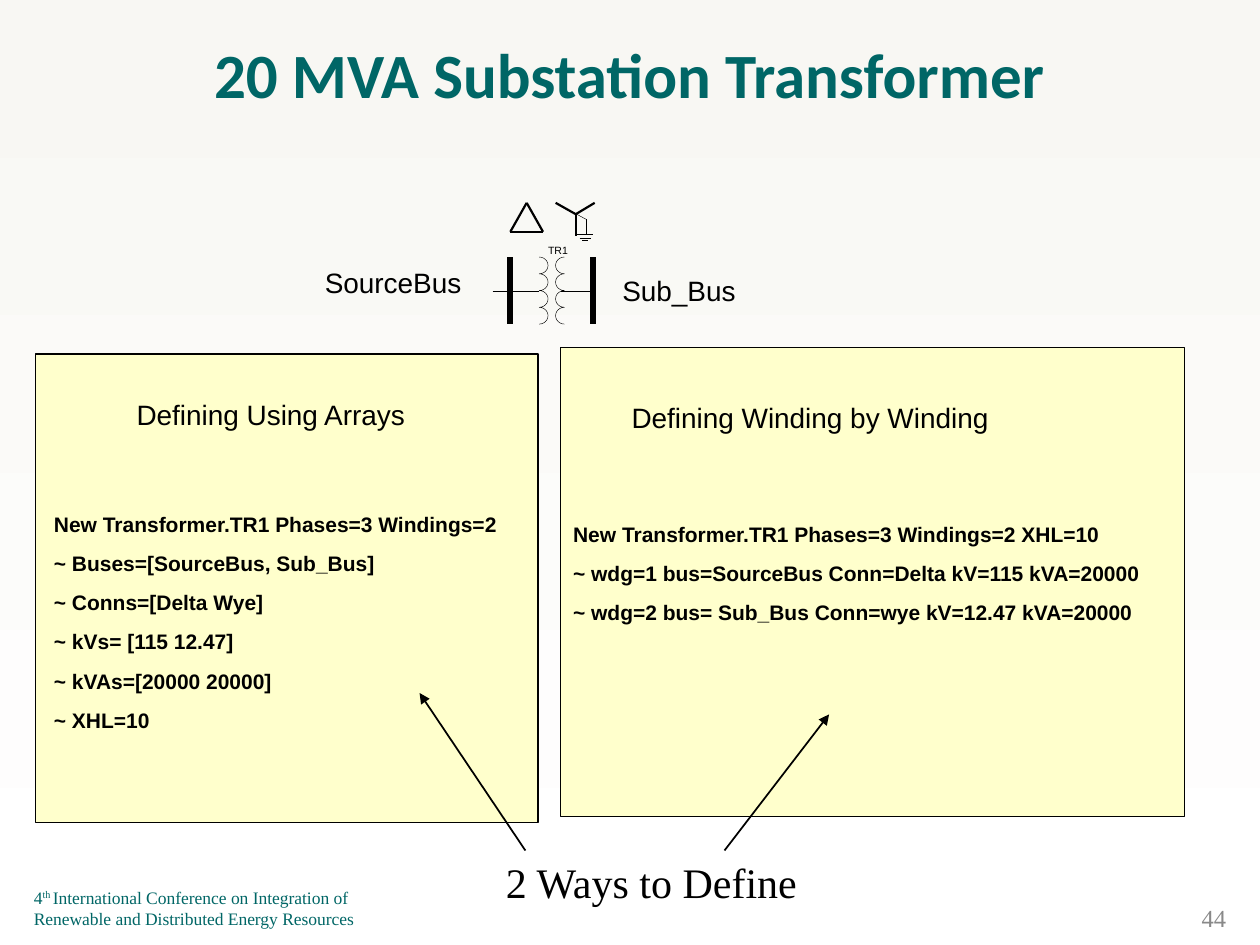
from math import cos, pi, sin

from lxml import etree
from pptx import Presentation
from pptx.dml.color import RGBColor
from pptx.enum.shapes import MSO_CONNECTOR, MSO_SHAPE
from pptx.enum.text import MSO_ANCHOR, PP_ALIGN
from pptx.oxml.ns import qn
from pptx.util import Inches, Pt

LEFT, MID, RIGHT = PP_ALIGN.LEFT, PP_ALIGN.CENTER, PP_ALIGN.RIGHT
TOP, CENTRE, BASE = MSO_ANCHOR.TOP, MSO_ANCHOR.MIDDLE, MSO_ANCHOR.BOTTOM
RECT, LINE = MSO_SHAPE.RECTANGLE, MSO_CONNECTOR.STRAIGHT
COLS, ROWS = 100, 75
WIDE, HIGH = Inches(10), Inches(7.5)
BLACK, TEAL, GREY, CREAM = "000000", "006666", "898989", "FFFFCC"
SERIF = "Times New Roman"
THIN, BOLD, BAR = 0.25, 1.25, 3.37

ARRAYS = [
    "New Transformer.TR1 Phases=3 Windings=2",
    "~ Buses=[SourceBus, Sub_Bus]",
    "~ Conns=[Delta Wye]",
    "~ kVs= [115 12.47]",
    "~ kVAs=[20000 20000]",
    "~ XHL=10",
]
WINDINGS = [
    "New Transformer.TR1 Phases=3 Windings=2 XHL=10",
    "~ wdg=1 bus=SourceBus Conn=Delta kV=115 kVA=20000",
    "~ wdg=2 bus= Sub_Bus Conn=wye kV=12.47 kVA=20000",
]


def grid(*nums):
    """Turn alternating column and row counts into slide lengths."""
    units = WIDE / COLS, HIGH / ROWS
    return [round(num * units[i % 2]) for i, num in enumerate(nums)]


def paint(target, code):
    """Give a font, line or gradient stop a hex colour."""
    target.color.rgb = RGBColor.from_string(code)


def panel(slide, *area):
    """Draw a framed cream panel."""
    shape = slide.shapes.add_shape(RECT, *grid(*area))
    shape.shadow.inherit = False
    shape.fill.solid()
    shape.fill.fore_color.rgb = RGBColor.from_string(CREAM)
    paint(shape.line, BLACK)
    shape.line.width = Pt(0.75)


def text(slide, area, lines, size, face="Arial", code=BLACK, align=LEFT,
         anchor=TOP, bold=False, gap=0, tight=False):
    """Write lines in a box, each line a string or a list of runs."""
    frame = slide.shapes.add_textbox(*grid(*area)).text_frame
    frame.word_wrap = not tight
    frame.vertical_anchor = anchor
    if tight:
        frame.margin_left = frame.margin_right = 0
        frame.margin_top = frame.margin_bottom = 0
    for i, line in enumerate(lines):
        para = frame.add_paragraph() if i else frame.paragraphs[0]
        for part in [line] if isinstance(line, str) else line:
            para.add_run().text = part
        para.alignment = align
        para.space_before = Pt(gap if i else 0)
        para.font.size, para.font.name, para.font.bold = Pt(size), face, bold
        paint(para.font, code)
    return frame


def wire(slide, ends, width, arrow=False):
    """Draw a straight line, with an arrowhead at its end if asked."""
    line = slide.shapes.add_connector(LINE, *grid(*ends))
    paint(line.line, BLACK)
    line.line.width = Pt(width)
    if arrow:
        tip = etree.SubElement(line.line._get_or_add_ln(), qn("a:tailEnd"))
        tip.set("type", "triangle")
    etree.SubElement(line._element.spPr, qn("a:effectLst"))


def coil(slide, left, bulge, loops=4, top=20.4, size=1.33, steps=12):
    """Draw a winding as a column of half loops."""
    spots = []
    for i in range(loops * steps + 1):
        loop, step = divmod(i, steps)
        turn = pi * step / steps
        down = top + size * (loop + (1 - cos(turn)) / 2)
        spots.append(grid(left + bulge * sin(turn), down))
    path = slide.shapes.build_freeform(*spots[0])
    path.add_line_segments(spots[1:], close=False)
    shape = path.convert_to_shape()
    shape.shadow.inherit = False
    shape.fill.background()
    paint(shape.line, BLACK)
    shape.line.width = Pt(THIN)


def symbol(slide):
    """Draw the transformer with its delta and earthed wye marks."""
    leads = [(39.1, 23.1, 40.5, 23.1), (47.1, 23.1, 44.5, 23.1),
             (42.8, 23.1, 40.5, 23.1)]
    earth = [(46.2, 19.1, 46.7, 19.1), (46, 18.9, 46.9, 18.9),
             (45.8, 18.6, 47.1, 18.6), (46.5, 17.4, 46.5, 18.6),
             (46.5, 17.4, 45.4, 16.8)]
    delta = [(40.5, 18.4, 43.1, 18.4), (40.5, 18.4, 41.8, 16.1),
             (43.1, 18.4, 41.8, 16.1)]
    wye = [(45.7, 17, *end) for end in ((45.7, 18.7), (47.2, 16.1), (44.1, 16.1))]
    bars = [(x, 20.4, x, 25.7) for x in (40.5, 47.1)]
    for group, width in ((leads + earth, THIN), (delta + wye, BOLD), (bars, BAR)):
        for ends in group:
            wire(slide, ends, width)
    coil(slide, 42.8, 0.7)
    coil(slide, 44.8, -0.7)
    for area, word in (((41.1, 19.4, 5.9, 1), "TR"), ((42.2, 19.4, 5.3, 1), "1")):
        text(slide, area, [word], 6, align=MID, tight=True)


def main():
    """Build the slide and save it."""
    deck = Presentation()
    deck.slide_width, deck.slide_height = WIDE, HIGH
    slide = deck.slides.add_slide(deck.slide_layouts[6])
    fill = slide.background.fill
    fill.gradient()
    fill.gradient_angle = 270
    for stop, code in zip(fill.gradient_stops, ("F8F7F3", "FFFFFF")):
        paint(stop, code)

    foot = text(slide, (1.7, 70, 31.7, 4.2),
                [["4", "th ", "International Conference on Integration of"],
                 "Renewable and Distributed Energy Resources"],
                10, SERIF, TEAL, anchor=BASE)
    foot.paragraphs[0].runs[1].font._element.set("baseline", "30000")
    panel(slide, 44.5, 27.6, 49.5, 37.2)
    panel(slide, 2.8, 28.1, 39.9, 37.2)
    symbol(slide)
    text(slide, (3.3, 1.7, 93.3, 8.3), ["20 MVA Substation Transformer"],
         36, "Calibri", TEAL, MID, CENTRE, True)
    text(slide, (3.3, 40.1, 45.3, 21.3), ARRAYS, 12, bold=True, gap=8)
    text(slide, (44.5, 40.9, 51.9, 12.2), WINDINGS, 12, bold=True, gap=8)
    for area, label, align in (
        ((4.7, 31.1, 33.6, 3.7), "Defining Using Arrays", MID),
        ((47.5, 31.3, 33.6, 3.7), "Defining Winding by Winding", MID),
        ((48.4, 21.2, 19.1, 3.7), "Sub_Bus", LEFT),
        ((18.5, 20.6, 19.1, 3.7), "SourceBus", RIGHT),
    ):
        text(slide, area, [label], 16, align=align)
    text(slide, (31.7, 67.5, 40, 5), ["2 Ways to Define"], 24, SERIF, align=MID)
    for ends in ((41.7, 67.5, 33.3, 55), (57.5, 67.5, 65.8, 56.7)):
        wire(slide, ends, 1, arrow=True)
    text(slide, (88.3, 71.5, 10, 2.7), ["44"], 14, SERIF, GREY, RIGHT, CENTRE)
    deck.save("out.pptx")


if __name__ == "__main__":
    main()
